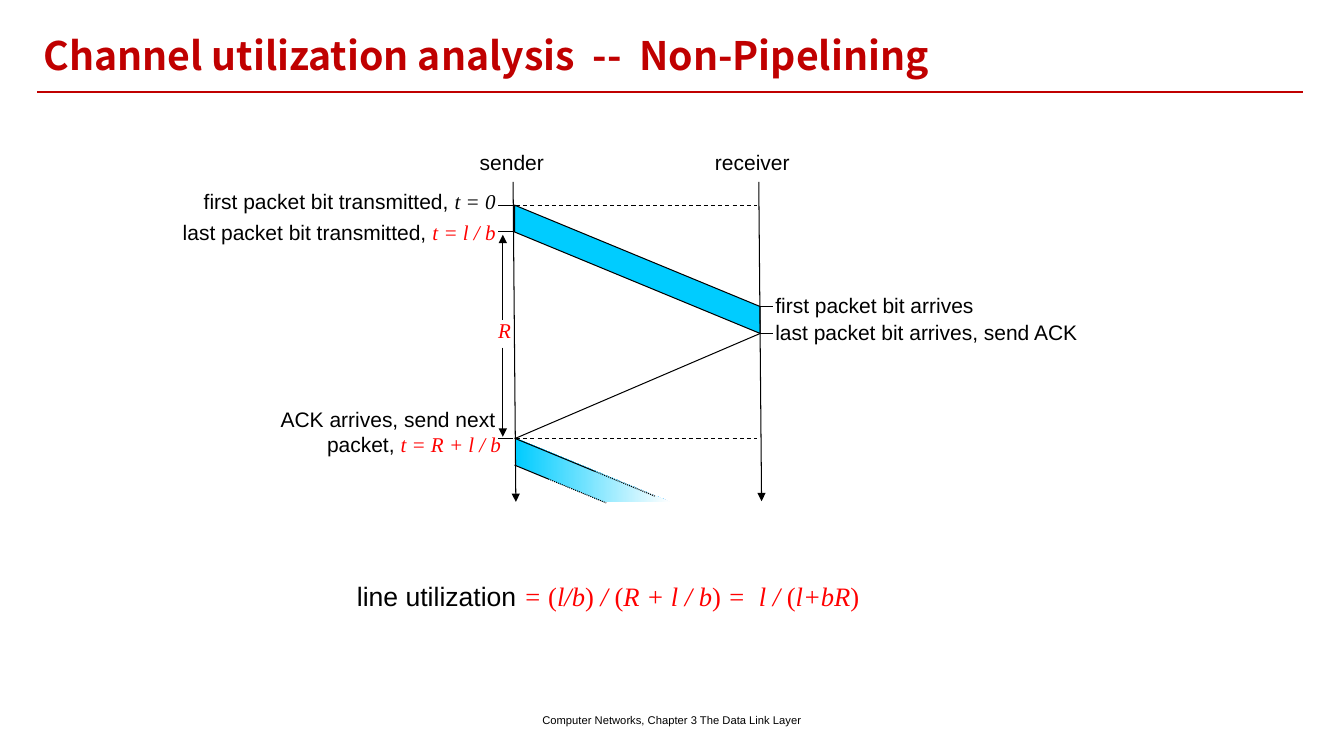
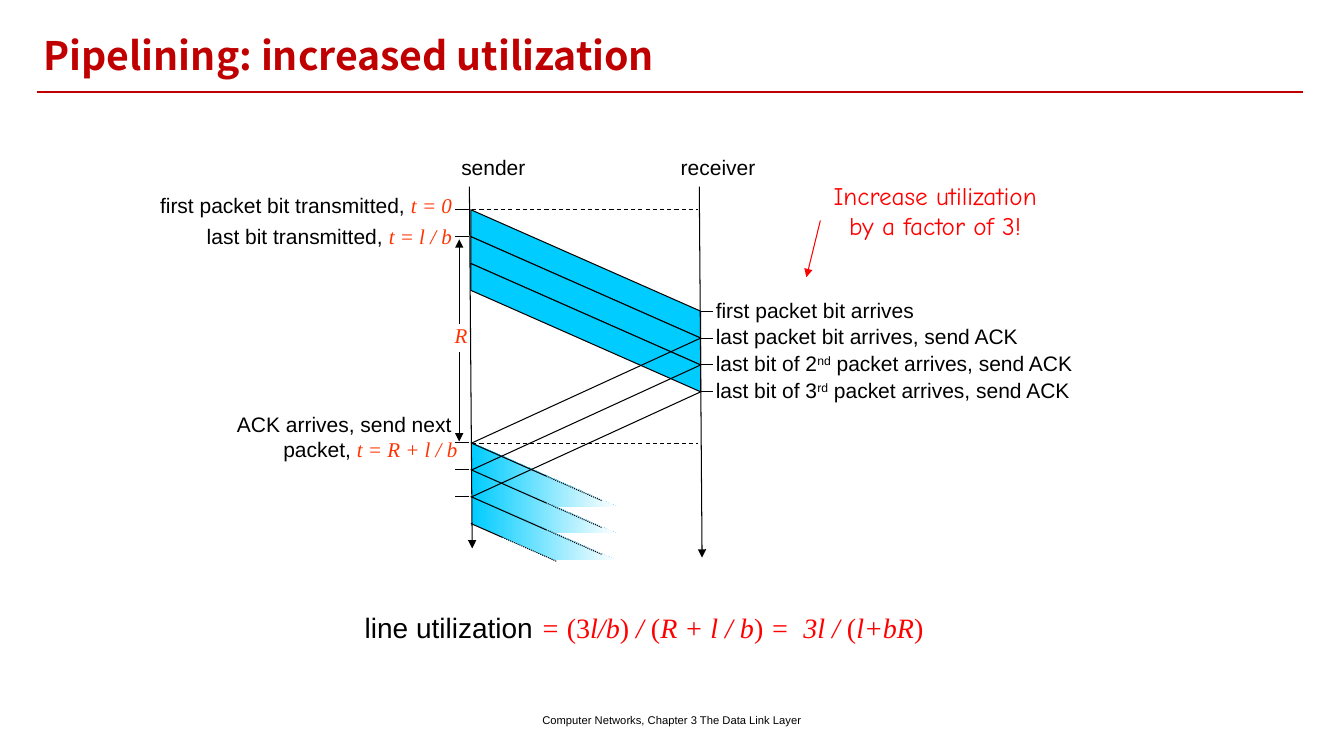
from lxml.etree import SubElement
from pptx import Presentation
from pptx.dml.color import RGBColor
from pptx.enum.dml import MSO_LINE
from pptx.enum.text import MSO_ANCHOR, MSO_AUTO_SIZE, PP_ALIGN
from pptx.oxml.ns import qn
from pptx.util import Pt

# Shared look
BLACK, BRAND, RED, ORANGE = "000000", "C00000", "FF0000", "FF3300"
CYAN, WHITE = "00CCFF", "FFFFFF"
SANS, SERIF = "Arial", "Times New Roman"
HEAD, HAND = "Noto Sans CJK SC", "Comic Neue"
LEFT, MID, RIGHT = PP_ALIGN.LEFT, PP_ALIGN.CENTER, PP_ALIGN.RIGHT

# Time scale of the diagrams, top to bottom
LEAD, BIT, FALL, TRIP = 16.5, 19.2, 72.5, 166.5


def tint(code):
    return RGBColor.from_string(code)


def style(font, name, size, color, bold=False, italic=False):
    font.name, font.size = name, Pt(size)
    font.color.rgb = tint(color)
    font.bold, font.italic = bold, italic


def line(slide, start, end, color=BLACK, width=0.75, dash=None, arrow=False):
    link = slide.shapes.add_connector(1, *(Pt(v) for v in (*start, *end)))
    link.line.color.rgb = tint(color)
    link.line.width = Pt(width)
    if dash:
        link.line.dash_style = dash
    props = link._element.spPr
    if arrow:
        SubElement(props.find(qn("a:ln")), qn("a:tailEnd"), type="triangle")
    SubElement(props, qn("a:effectLst"))


def shape(slide, points):
    spots = [(Pt(x), Pt(y)) for x, y in points]
    build = slide.shapes.build_freeform(*spots[0])
    build.add_line_segments(spots[1:], close=True)
    form = build.convert_to_shape()
    form.shadow.inherit = False
    return form


def label(slide, box, rows, align=LEFT, size=15, tone=RED, font=SANS, ink=BLACK):
    """Each row lists (text, kind): t text, v variable, u upright math, s superscript."""
    area = slide.shapes.add_textbox(*(Pt(v) for v in box))
    frame = area.text_frame
    frame.word_wrap = True
    frame.margin_left = frame.margin_right = Pt(6.5)
    for i, row in enumerate(rows):
        para = frame.add_paragraph() if i else frame.paragraphs[0]
        para.alignment = align
        for text, kind in row:
            run = para.add_run()
            run.text = text
            if kind in "vu":
                style(run.font, SERIF, size, tone, italic=kind == "v")
            else:
                style(run.font, font, size, ink)
            if kind == "s":
                run._r.get_or_add_rPr().set("baseline", "30000")
    return frame


def base(deck, title):
    """Title, rule and footer."""
    slide = deck.slides.add_slide(deck.slide_layouts[5])
    head = slide.shapes.title
    head.left, head.top, head.width, head.height = (
        Pt(v) for v in (24, 19, 922, 41))
    frame = head.text_frame
    frame.text = title
    frame.auto_size = MSO_AUTO_SIZE.NONE
    frame.vertical_anchor = MSO_ANCHOR.MIDDLE
    frame.margin_top = frame.margin_bottom = 0
    frame.paragraphs[0].alignment = LEFT
    style(frame.paragraphs[0].runs[0].font, HEAD, 28, BRAND, bold=True)
    line(slide, (26.5, 66), (931, 66), BRAND, 1.5)
    foot = label(slide, (318, 500, 324, 29),
                 [[("Computer Networks, Chapter 3 The Data Link Layer", "t")]],
                 MID, 8)
    foot.vertical_anchor = MSO_ANCHOR.MIDDLE
    return slide


def packet(slide, left, right, top):
    """One full packet between the two lifelines."""
    form = shape(slide, [(left, top), (right, top + FALL),
                         (right, top + FALL + BIT), (left, top + BIT)])
    form.fill.solid()
    form.fill.fore_color.rgb = tint(CYAN)
    form.line.color.rgb = tint(BLACK)
    form.line.width = Pt(0.75)


def fade(slide, left, top, slope):
    """A packet that has just started and fades out."""
    deep = 45.5
    far, near = deep / slope, (deep - BIT) / slope
    form = shape(slide, [(left + 1, top), (left + 1 + far, top + deep),
                         (left + 1 + near, top + deep), (left + 1, top + BIT)])
    form.fill.gradient()
    form.fill.gradient_angle = 0
    for stop, color in zip(form.fill.gradient_stops, (CYAN, WHITE)):
        stop.color.rgb = tint(color)
    form.line.fill.background()
    # Edges: solid first, then dotted
    for y, solid, dots in ((top, 0.52 * far, 0.91 * far),
                           (top + BIT, 0.38 * near, 1.03 * near)):
        bend = (left + solid, y + solid * slope)
        line(slide, (left, y), bend)
        line(slide, bend, (left + dots, y + dots * slope), dash=MSO_LINE.ROUND_DOT)


def timing(slide, box, count, shift, extra, tone, sent, got):
    """Sender and receiver lifelines with packets, ACKs and labels."""
    left, top, wide, high = box
    right, start = left + wide, top + LEAD
    land, ack = start + FALL, start + TRIP

    # Packets and ACKs
    for i in range(count):
        packet(slide, left, right, start + i * BIT)
        fade(slide, left, ack + i * BIT, FALL / wide)
    for i in range(count):
        line(slide, (right, land + (i + 1) * BIT), (left + 1, ack + i * BIT))

    # Lifelines and their names
    for x, low, name in ((left, high, "sender"), (right, high + extra, "receiver")):
        line(slide, (x - 1, top), (x + 1, top + low), arrow=True)
        label(slide, (x + shift - 90, start - 43, 90, 25), [[(name, "t")]], RIGHT)

    # Time marks
    for y in (start, ack + 0.5):
        line(slide, (left + 1, y), (right - 2, y), dash=MSO_LINE.DASH)
    for y in [start, start + BIT] + [ack + i * BIT for i in range(count)]:
        line(slide, (left - 1, y), (left - 11.5, y))
    for i in range(count + 1):
        y = land + i * BIT
        line(slide, (right, y), (right + 9, y))

    # Round trip R
    x, mid = left - 8.3, (start + BIT + ack) / 2
    line(slide, (x, mid - 11), (x, start + BIT + 2), arrow=True)
    line(slide, (x, mid + 9), (x, ack - 1), arrow=True)
    label(slide, (left - 66, mid - 16, 70, 24.5), [[("R", "v")]], RIGHT, tone=tone)

    # Event labels
    for i, row in enumerate(sent):
        label(slide, (left - 277, start - 15.5 + i * 22, 270, 24.5), [row],
              RIGHT, tone=tone)
    label(slide, (left - 214, ack - 26, 211, 42.5),
          [[("ACK arrives, send next ", "t")],
           [("packet, ", "t"), ("t = R + l / b", "v")]], RIGHT, tone=tone)
    for i, row in enumerate(got):
        label(slide, (right + 4.3, land + i * BIT - 13.6, 286, 24.5), [row])


def result(slide, box, size, math):
    """Utilization formula; bars in math switch italic and upright."""
    row = [(part, "vu"[i % 2]) for i, part in enumerate(math.split("|"))]
    label(slide, box, [[("line utilization ", "t")] + row], size=size)


def callout(slide, box):
    x, y = box[:2]
    frame = label(slide, box, [[("Increase utilization", "t")],
                               [("by a factor of 3!", "t")]],
                  MID, 18, font=HAND, ink=RED)
    frame.paragraphs[0].line_spacing = 0.9
    line(slide, (x + 6.5, y + 30), (x - 3.5, y + 70.5), RED, arrow=True)


def main():
    deck = Presentation()
    deck.slide_width, deck.slide_height = Pt(960), Pt(540)
    first = [("first packet bit arrives", "t")]
    last = [("last packet bit arrives, send ACK", "t")]
    begin = ("first packet bit transmitted, ", "t")

    # Non-pipelining
    slide = base(deck, "Channel utilization analysis  --  Non-Pipelining")
    timing(slide, (367.5, 130, 175.5, 228.5), 1, 27.5, -0.5, RED,
           [[begin], [("last packet bit transmitted, ", "t"), ("t = l / b", "v")]],
           [first, last])
    # The first time stands in black here
    add_time(slide)
    result(slide, (248.5, 411, 451.5, 30), 19,
           "= |(|l/b|)| / |(|R + l / b|)| =  l / |(|l+bR|)")

    # Pipelining
    slide = base(deck, "Pipelining: increased utilization")
    more = [[("last bit of " + n, "t"), (end, "s"), (" packet arrives, send ACK", "t")]
            for n, end in (("2", "nd"), ("3", "rd"))]
    timing(slide, (336.3, 133.3, 164.2, 258.5), 3, 45.5, 6.5, ORANGE,
           [[begin, ("t = 0", "v")],
            [("last bit transmitted, ", "t"), ("t = l / b", "v")]],
           [first, last] + more)
    callout(slide, (579.5, 127.5, 177, 47.5))
    result(slide, (254, 432.5, 451.5, 31), 20,
           "= |(3|l/b|)| / |(|R + l / b|)| =  3l / |(|l+bR|)")
    deck.save("out.pptx")


def add_time(slide):
    """Append the black start time to the first event label."""
    for item in slide.shapes:
        if item.has_text_frame and item.text_frame.text.startswith("first packet bit tr"):
            run = item.text_frame.paragraphs[0].add_run()
            run.text = "t = 0"
            style(run.font, SERIF, 15, BLACK, italic=True)


if __name__ == "__main__":
    main()
